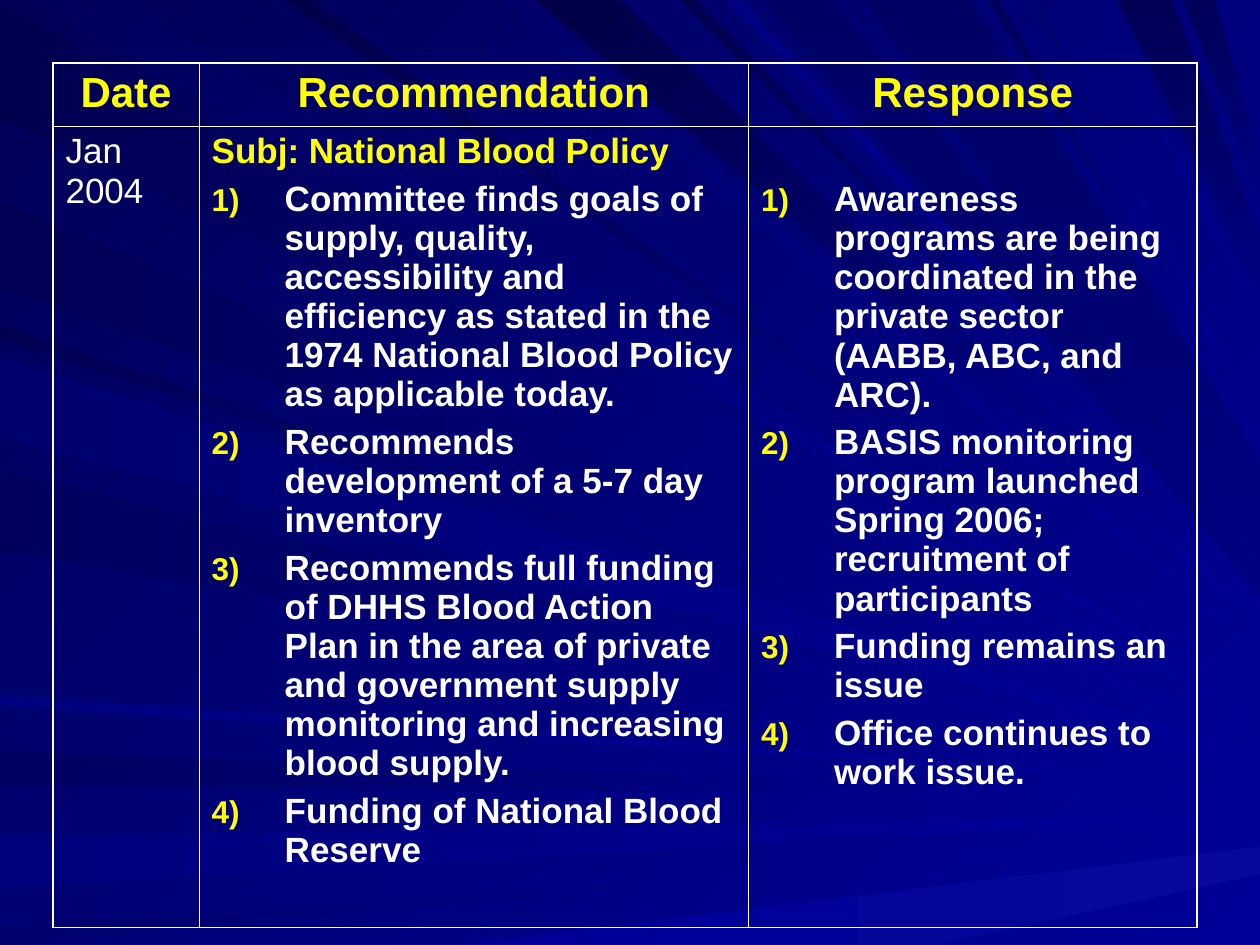
from lxml.etree import SubElement
from pptx import Presentation
from pptx.dml.color import RGBColor
from pptx.enum.text import PP_ALIGN as Align
from pptx.oxml.ns import qn
from pptx.util import Inches, Pt

WHITE, YELLOW = "FFFFFF", "FFFF00"
BLUE, NAVY, MIDNIGHT = "000099", "000080", "000057"
HANGING = Inches(0.58)
SLIDE_WIDTH, SLIDE_HEIGHT = 10, 7.5

LEFT_RAYS = [
    (0.02, 0.93, 5.7, "000051"),
    (5.96, 6.23, 6.31, "000060"),
    (6.65, 7.04, 6.47, "00007C"),
    (7.35, 7.5, 6.62, "00006E"),
    (2.58, 2.7, 5.89, "000053"),
    (1.59, 2.28, 5.85, "000055"),
    (2.78, 3.42, 6, "000060"),
    (3.74, 4.37, 6.05, "00005C"),
    (5.52, 5.6, 6.22, "000081"),
    (2.83, 3.47, 6.03, "00006E"),
]
THIN_TOP_RAYS = [
    (0.26, 1.01, 5.63, "00005C"),
    (3.98, 4.16, 5.18, "00006A"),
    (4.26, 4.92, 4.93, "000046"),
    (5.4, 5.52, 4.63, "00004E"),
    (2.25, 2.47, 5.5, "00004A"),
    (5.77, 5.88, 4.54, "000081"),
    (7.85, 7.92, 3.57, MIDNIGHT),
    (8.15, 8.24, 3.36, "00006E"),
    (8.65, 8.72, 2.53, "000078"),
]
BROAD_TOP_RAYS = [
    (6.06, 6.61, 4.46, "000064"),
    (6.86, 7.7, 4.09, "000064"),
    (8.87, 9.3, 2.1, "000055"),
    (9.39, 9.64, 1.4, "000059"),
]

HEADINGS = ["Date", "Recommendation", "Response"]
SUBJECT = "Subj: National Blood Policy"
RECOMMENDATIONS = [
    "Committee finds goals of supply, quality, accessibility and efficiency "
    "as stated in the 1974 National Blood Policy as applicable today.",
    "Recommends development of a 5-7 day inventory",
    "Recommends full funding of DHHS Blood Action Plan in the area of private "
    "and government supply monitoring and increasing blood supply.",
    "Funding of National Blood Reserve",
]
RESPONSES = [
    "Awareness programs are being coordinated in the private sector (AABB, ABC, and ARC).",
    "BASIS monitoring program launched Spring 2006; recruitment of participants",
    "Funding remains an issue",
    "Office continues to work issue.",
]


def rgb(color):
    return RGBColor.from_string(color)


def paint_gradient(fill, start, end, clockwise):
    fill.gradient()
    fill.gradient_angle = 360 - clockwise
    for stop, color in zip(fill.gradient_stops, (start, end)):
        stop.color.rgb = rgb(color)


def add_ray(slide, corners, start, end, clockwise):
    points = [(Inches(x), Inches(y)) for x, y in corners]
    builder = slide.shapes.build_freeform(*points[0])
    builder.add_line_segments(points[1:], close=True)
    ray = builder.convert_to_shape()
    paint_gradient(ray.fill, start, end, clockwise)
    ray.line.fill.background()
    ray.shadow.inherit = False


def add_backdrop(slide):
    paint_gradient(slide.background.fill, BLUE, MIDNIGHT, 225)
    for upper, lower, tip, shade in LEFT_RAYS:
        corners = [(0, upper), (SLIDE_WIDTH, tip), (0, lower)]
        add_ray(slide, corners, BLUE, shade, 180)
    bottom_beam = [(3.64, SLIDE_HEIGHT), (SLIDE_WIDTH, 6.72),
                   (SLIDE_WIDTH, 6.94), (7.42, SLIDE_HEIGHT)]
    add_ray(slide, bottom_beam, "07079B", BLUE, 180)
    for left, right, tip, shade in THIN_TOP_RAYS:
        corners = [(left, 0), (SLIDE_WIDTH, tip), (right, 0)]
        add_ray(slide, corners, BLUE, shade, 225)
    for left, right, tip, shade in BROAD_TOP_RAYS:
        spread = (right - left) / 2
        corners = [(left, 0), (SLIDE_WIDTH, tip + spread),
                   (SLIDE_WIDTH, tip - spread), (right, 0)]
        add_ray(slide, corners, shade, NAVY, 90)


def add_borders(cell, outer_sides):
    properties = cell._tc.get_or_add_tcPr()
    for side in "LRTB":
        width = Pt(1.08 if side in outer_sides else 0.45)
        border = SubElement(properties, qn(f"a:ln{side}"), w=str(width))
        ink = SubElement(border, qn("a:solidFill"))
        SubElement(ink, qn("a:srgbClr"), val=WHITE)


def add_number(paragraph):
    properties = paragraph._p.get_or_add_pPr()
    properties.set("marL", str(HANGING))
    properties.set("indent", str(-HANGING))
    tint = SubElement(properties, qn("a:buClr"))
    SubElement(tint, qn("a:srgbClr"), val=YELLOW)
    SubElement(properties, qn("a:buSzPct"), val="90000")
    SubElement(properties, qn("a:buFont"), typeface="Arial")
    SubElement(properties, qn("a:buAutoNum"), type="arabicParenR")


def write(paragraph, text, color, size=20, bold=True):
    paragraph.text = text
    for run in paragraph.runs:
        run.font.name = "Arial"
        run.font.size = Pt(size)
        run.font.bold = bold
        run.font.color.rgb = rgb(color)


def write_numbered(frame, items):
    for item in items:
        started = bool(frame.text)
        paragraph = frame.add_paragraph() if started else frame.paragraphs[0]
        add_number(paragraph)
        if started:
            paragraph.space_before = Pt(5)
        write(paragraph, item, WHITE)


def add_policy_table(slide):
    table = slide.shapes.add_table(
        2, 3, Inches(0.42), Inches(0.5), Inches(9.08), Inches(6.86)).table
    table.first_row = table.horz_banding = False
    for column, width in zip(table.columns, (1.16, 4.36, 3.56)):
        column.width = Inches(width)
    for row, height in zip(table.rows, (0.5, 6.36)):
        row.height = Inches(height)
    for row, row_side in zip(table.rows, "TB"):
        for cell, column_side in zip(row.cells, ("L", "", "R")):
            add_borders(cell, row_side + column_side)
            cell.fill.background()
    return table


def main():
    deck = Presentation()
    deck.slide_width, deck.slide_height = Inches(SLIDE_WIDTH), Inches(SLIDE_HEIGHT)
    slide = deck.slides.add_slide(deck.slide_layouts[6])
    add_backdrop(slide)

    table = add_policy_table(slide)
    for cell, heading in zip(table.rows[0].cells, HEADINGS):
        title = cell.text_frame.paragraphs[0]
        title.alignment = Align.CENTER
        write(title, heading, YELLOW, 24)

    date, recommendation, response = table.rows[1].cells
    write(date.text_frame.paragraphs[0], "Jan 2004", WHITE, bold=False)
    write(recommendation.text_frame.paragraphs[0], SUBJECT, YELLOW)
    write_numbered(recommendation.text_frame, RECOMMENDATIONS)
    response.margin_top = Inches(0.43)
    write_numbered(response.text_frame, RESPONSES)
    deck.save("out.pptx")


if __name__ == "__main__":
    main()
